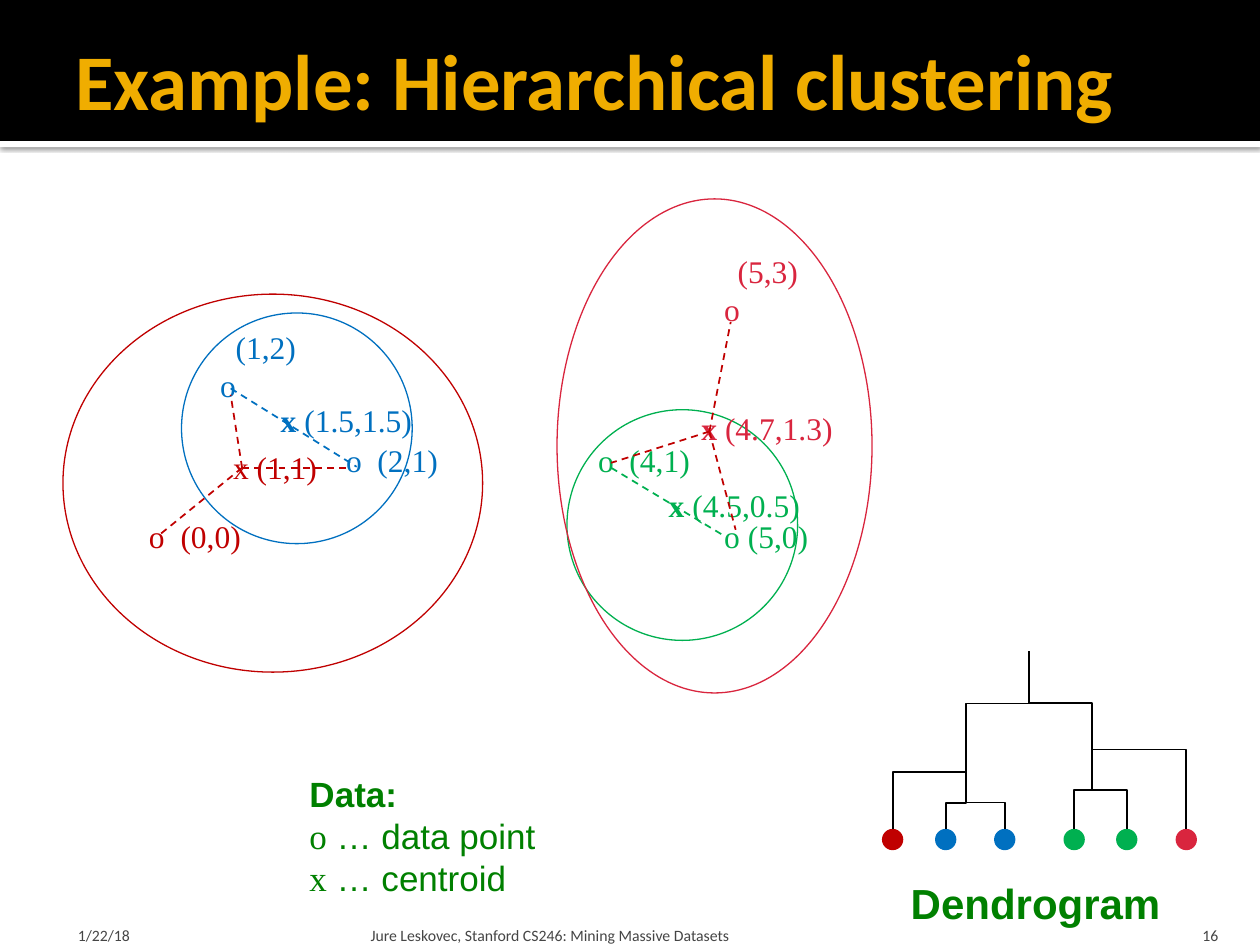
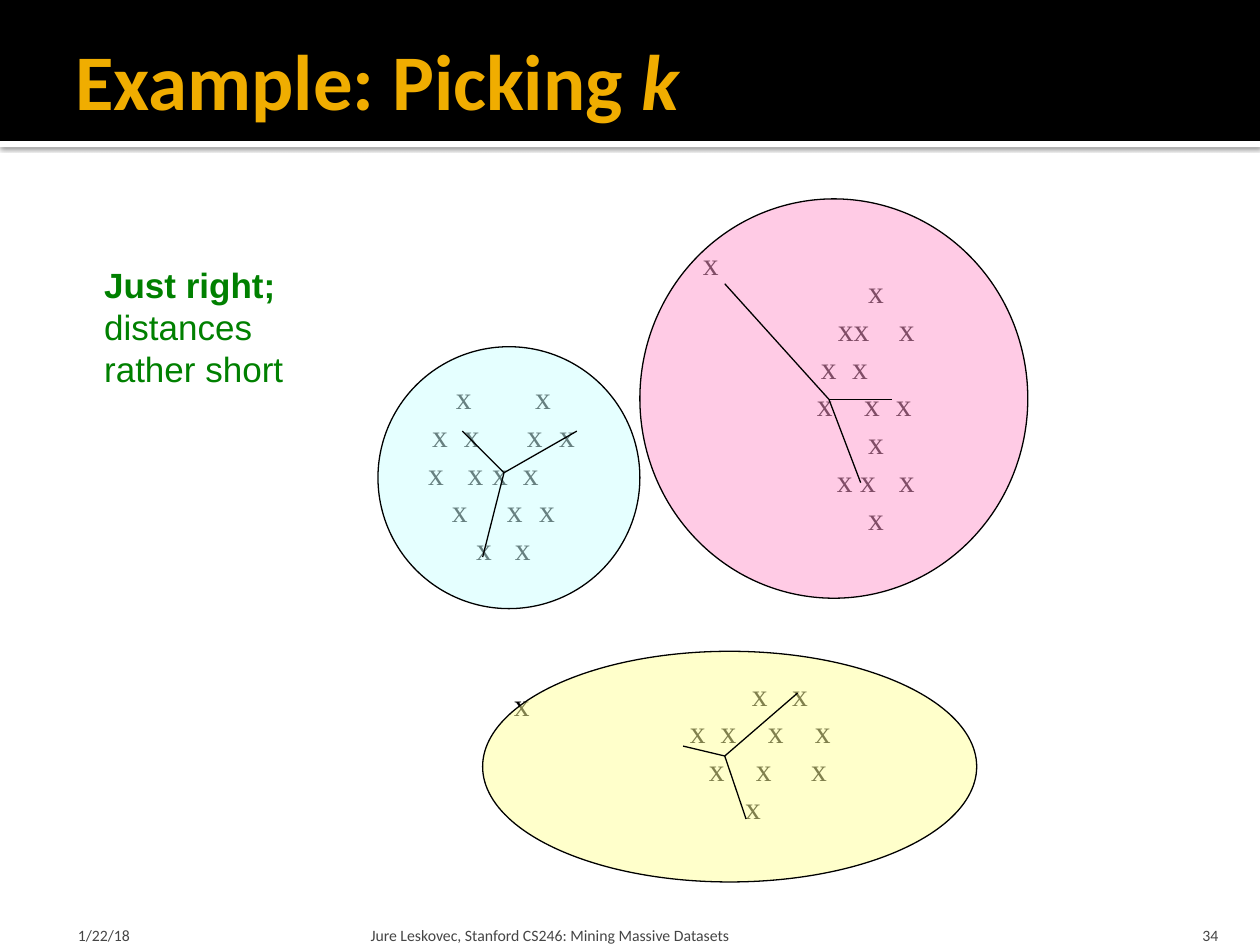
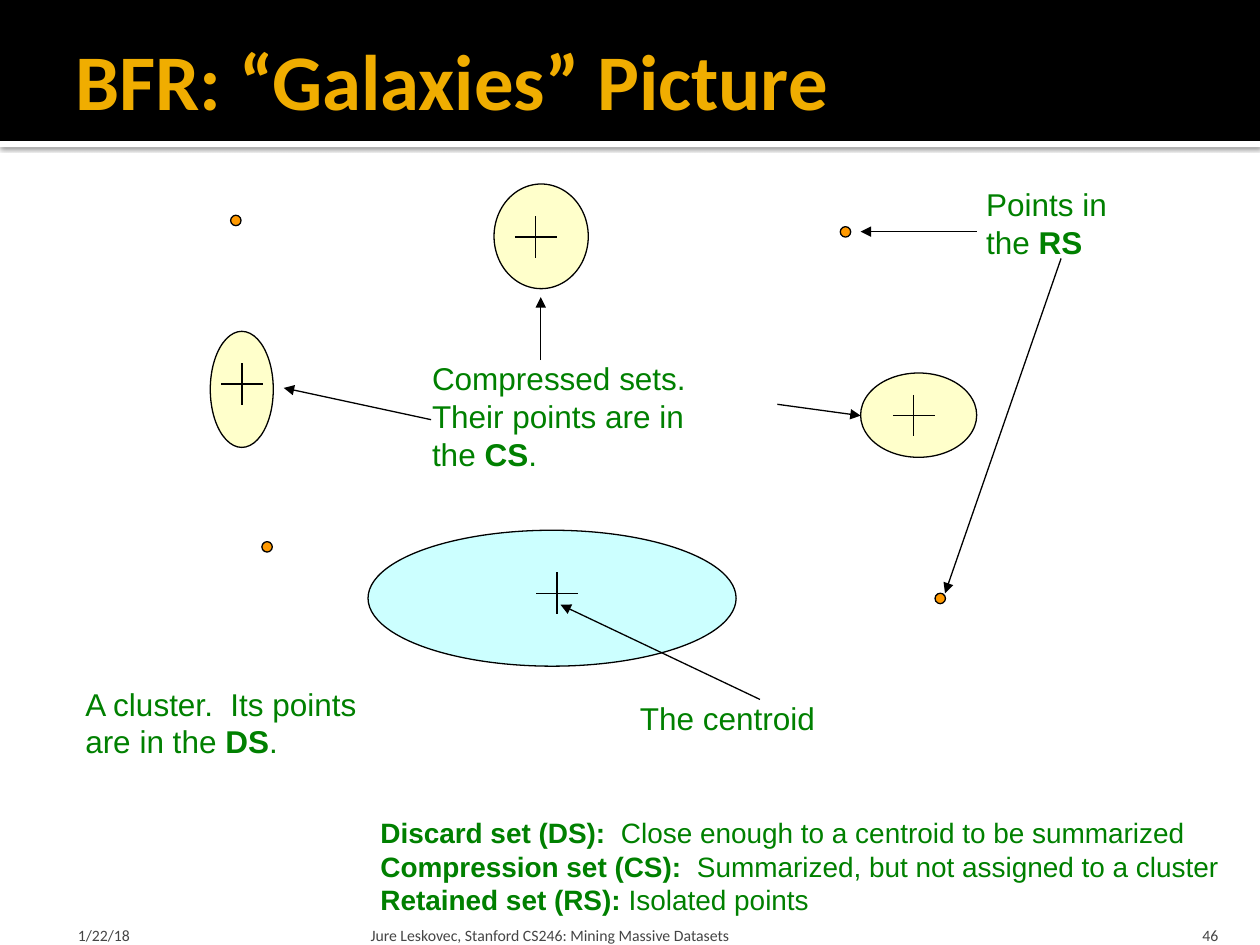
from dataclasses import dataclass

from lxml.etree import SubElement
from pptx import Presentation
from pptx.dml.color import RGBColor
from pptx.enum.dml import MSO_LINE
from pptx.enum.shapes import MSO_CONNECTOR, MSO_SHAPE
from pptx.enum.text import MSO_ANCHOR, PP_ALIGN
from pptx.oxml.ns import qn
from pptx.util import Cm, Pt


@dataclass(frozen=True)
class Theme:
    black: str = "000000"
    white: str = "FFFFFF"
    title: str = "F0AD00"
    footer: str = "454545"
    note: str = "008000"
    red: str = "C00000"
    blue: str = "0070C0"
    green: str = "00B050"
    pink: str = "D9253E"
    pale_blue: str = "CCFFFF"
    pale_yellow: str = "FFFF99"
    pale_pink: str = "FF99CC"
    orange: str = "FF9900"
    heading_face: str = "Calibri"
    note_face: str = "Arial"
    point_face: str = "Times New Roman"
    title_size: int = 45
    caption_size: int = 24
    legend_size: int = 20
    label_size: int = 18
    summary_size: int = 16
    footer_size: int = 9
    thin: float = 0.75
    medium: float = 1
    leading: float = 1.2


@dataclass(frozen=True)
class Box:
    """A region in centimetres."""
    left: float
    top: float
    width: float
    height: float

    def point(self, spot):
        return self.left + spot[0], self.top + spot[1]

    def inner(self, left, top, width, height):
        return Box(*self.point((left, top)), width, height)

    def lengths(self):
        return [Cm(n) for n in (self.left, self.top, self.width, self.height)]


THEME = Theme()
NOTE = dict(face=THEME.note_face, colour=THEME.note)
POINT = dict(face=THEME.point_face, size=THEME.label_size)
BOLD = dict(bold=True)
FOOTER = "Jure Leskovec, Stanford CS246: Mining Massive Datasets"


# Text
def style(font, face=None, size=None, colour=None, bold=None, italic=None):
    if face:
        font.name = face
    if size:
        font.size = Pt(size)
    if colour:
        font.color.rgb = RGBColor.from_string(colour)
    if bold is not None:
        font.bold = bold
    if italic is not None:
        font.italic = italic


def set_tabs(para, stops):
    tab_list = para.font._element.makeelement(qn("a:tabLst"), {})
    para._p.pPr.find(qn("a:defRPr")).addprevious(tab_list)
    for stop in stops:
        SubElement(tab_list, qn("a:tab"), pos=str(Cm(stop)), algn="l")


def write(page, box, lines, insets=(0.25, 0.13, 0, 0.13), anchor=MSO_ANCHOR.TOP,
          align=PP_ALIGN.LEFT, leading=THEME.leading, tabs=(), gaps=(), **look):
    """Each line is a string or a list of (text, style) spans."""
    frame = page.shapes.add_textbox(*box.lengths()).text_frame
    frame.word_wrap = True
    frame.vertical_anchor = anchor
    (frame.margin_left, frame.margin_top,
     frame.margin_right, frame.margin_bottom) = [Cm(n) for n in insets]
    for index, line in enumerate(lines):
        para = frame.add_paragraph() if index else frame.paragraphs[0]
        para.alignment = align
        style(para.font, **look)
        if leading:
            para.line_spacing = Pt(look["size"] * leading)
        if index in gaps:
            para.space_before = Pt(look["size"] * leading)
        if tabs:
            set_tabs(para, tabs[index])
        for text, extra in ([(line, {})] if isinstance(line, str) else line):
            span = para.add_run()
            span.text = text
            if extra:
                style(span.font, **extra)


# Shapes and lines
def draw(page, box, kind=MSO_SHAPE.OVAL, fill=None, alpha=None, line=None):
    shape = page.shapes.add_shape(kind, *box.lengths())
    shape.shadow.inherit = False
    if fill:
        shape.fill.solid()
        shape.fill.fore_color.rgb = RGBColor.from_string(fill)
    else:
        shape.fill.background()
    if alpha:
        colour = shape.element.spPr.find(qn("a:solidFill"))[0]
        SubElement(colour, qn("a:alpha"), val=str(alpha * 1000))
    if line:
        shape.line.color.rgb = RGBColor.from_string(line)
        shape.line.width = Pt(THEME.thin)
    else:
        shape.line.fill.background()
    return shape


def connect(page, start, end, colour=THEME.black, width=THEME.thin,
            dashed=False, arrow=False, kind=MSO_CONNECTOR.STRAIGHT):
    link = page.shapes.add_connector(kind, *[Cm(n) for n in (*start, *end)])
    link.line.color.rgb = RGBColor.from_string(colour)
    link.line.width = Pt(width)
    if dashed:
        link.line.dash_style = MSO_LINE.DASH
    if arrow:
        SubElement(link.line._get_or_add_ln(), qn("a:tailEnd"), type="triangle")
    SubElement(link.element.spPr, qn("a:effectLst"))
    return link


def elbow(page, start, end, bend):
    """Rise from start to the height of bend, cross, and rise to end."""
    rise, run = start[1] - end[1], end[0] - start[0]
    middle_x, middle_y = (start[0] + end[0]) / 2, (start[1] + end[1]) / 2
    link = connect(page, (middle_x - rise / 2, middle_y - run / 2),
                   (middle_x + rise / 2, middle_y + run / 2),
                   width=THEME.medium, kind=MSO_CONNECTOR.ELBOW)
    properties = link.element.spPr
    properties.find(qn("a:xfrm")).set("rot", str(270 * 60000))
    guides = properties.find(qn("a:prstGeom")).find(qn("a:avLst"))
    share = round((start[1] - bend) / rise * 100000)
    SubElement(guides, qn("a:gd"), name="adj1", fmla=f"val {share}")


def spokes(page, box, hub, ends, **look):
    for end in ends:
        connect(page, box.point(hub), box.point(end), **look)


# Title band and footer
def add_page(deck, title, number):
    page = deck.slides.add_slide(deck.slide_layouts[6])
    strip = draw(page, Box(0, 2.84, 25.4, 0.13), MSO_SHAPE.RECTANGLE, THEME.white)
    effects = strip.element.spPr.find(qn("a:effectLst"))
    shadow = SubElement(effects, qn("a:outerShdw"), blurRad=str(Pt(2.5)),
                        dist=str(Pt(0.8)), dir="5400000", rotWithShape="0")
    colour = SubElement(shadow, qn("a:srgbClr"), val=THEME.black)
    SubElement(colour, qn("a:alpha"), val="60000")
    draw(page, Box(0, 0, 25.4, 2.84), MSO_SHAPE.RECTANGLE, THEME.black)
    write(page, Box(1.27, 0.43, 22.86, 2.34), [title], (0.25, 0.13, 0.13, 0.13),
          MSO_ANCHOR.MIDDLE, leading=None, face=THEME.heading_face,
          size=THEME.title_size, colour=THEME.title, bold=True)
    for left, width, text, inset, align in (
            (1.27, 5.92, "1/22/18", 0.3, PP_ALIGN.LEFT),
            (7.34, 15.29, FOOTER, 0.13, PP_ALIGN.LEFT),
            (22.78, 2.03, number, 0.25, PP_ALIGN.RIGHT)):
        write(page, Box(left, 18.29, width, 0.76), [text], (inset, 0.13, inset, 0),
              MSO_ANCHOR.BOTTOM, align, None, face=THEME.heading_face,
              size=THEME.footer_size, colour=THEME.footer)
    return page


# Hierarchical clustering
def plot_points(page, box):
    red, blue = dict(colour=THEME.red), dict(colour=THEME.blue)
    green, pink = dict(colour=THEME.green), dict(colour=THEME.pink)
    lines = [[("\t(5,3)", pink)], [("\to", pink)],
             [("\t(1,2)", blue)], [("\to", blue)],
             [("\to\t(2,1)", blue), ("\to\t(4,1)", green)],
             [("\to\t(0,0)", red), ("\to (5,0)", green)]]
    tabs = [[12.97], [12.7], [2.85], [2.54], [5.08, 5.71, 10.16, 10.79],
            [1.1, 1.74, 12.7]]
    write(page, box.inner(0.38, 0.95, 17, 7.19), lines, tabs=tabs, gaps=(4, 5), **POINT)
    # Cluster outlines, each with the label of its centroid
    for outline, label, mark, centre, bold, colour in (
            ((2.39, 2.3, 4.65, 4.65), (4.14, 3.95), "x", " (1.5,1.5)", True, blue),
            ((10.16, 4.25, 4.65, 4.65), (11.96, 5.65), "x", " (4.5,0.5)", True, green),
            ((0, 1.92, 8.46, 7.62), (3.18, 4.89), "x", " (1,1)", False, red),
            ((9.96, 0, 6.35, 9.96), (12.62, 4.1), "x", " (4.7,1.3)", True, pink)):
        draw(page, box.inner(*outline), line=colour["colour"])
        write(page, box.inner(*label, 3.18, 1.02),
              [[(mark, dict(bold=bold)), (centre, {})]], **POINT, **colour)
    # Distances
    for hub, ends, colour in (
            ((3.38, 3.82), [(5.92, 5.4)], blue),
            ((11.05, 5.42), [(13.34, 6.8)], green),
            ((3.61, 5.42), [(3.38, 3.95), (5.72, 5.42), (1.91, 6.8)], red),
            ((13.03, 4.69), [(13.46, 2.48), (11.05, 5.32), (13.56, 6.67)], red)):
        spokes(page, box, hub, ends, width=THEME.medium, dashed=True, **colour)


def dendrogram(page, box):
    size, leaf_top = 0.43, 3.58
    leaves = ((0, THEME.red), (1.07, THEME.blue), (2.26, THEME.blue),
              (3.66, THEME.green), (4.72, THEME.green), (5.92, THEME.pink))
    left_node, right_node, root = 1.7, 4.24, 2.97
    joins = [(left_node, 1.27, 2.44), (left_node, 2.31, 3.05), (left_node, 2.54, 3.05),
             (right_node, 2.54, 2.79), (right_node, 1.91, 2.79), (right_node, 1.04, 1.98)]
    for (left, colour), (node, top, bend) in zip(leaves, joins):
        draw(page, box.inner(left, leaf_top, size, size), fill=colour)
        elbow(page, box.point((left + size / 2, leaf_top)),
              box.point((node, top)), box.top + bend)
    for node, bottom in ((left_node, 2.11), (right_node, 1.68)):
        elbow(page, box.point((node, bottom)), box.point((root, 0)), box.top + 1.05)
    write(page, box.inner(0.33, 4.42, 5.59, 1.27), ["Dendrogram"],
          size=THEME.caption_size, bold=True, **NOTE)


def legend(page, box):
    symbol = dict(face=THEME.point_face)
    write(page, box, [[("Data:", BOLD)], [("o", symbol), (" … data point", {})],
                      [("x", symbol), (" … centroid", {})]],
          size=THEME.legend_size, **NOTE)


# Picking k
def cluster(page, box, fill, cloud, rows, hub, ends, outlier=None):
    """Each row pairs tab stops with marks; a bare list of stops means single marks."""
    look = dict(POINT, colour=THEME.black)
    lines = ["".join("\t" + ("xx" if isinstance(stop, tuple) else "x") for stop in row)
             for row in rows]
    tabs = [[stop[0] if isinstance(stop, tuple) else stop for stop in row] for row in rows]
    write(page, box.inner(*cloud), lines, (0, 0, 0, 0), MSO_ANCHOR.MIDDLE,
          tabs=tabs, **look)
    if outlier:
        write(page, box.inner(*outlier, 0.94, 1.27), ["x"], **look)
    draw(page, box, fill=fill, alpha=50, line=THEME.black)
    spokes(page, box, hub, ends)


def verdict(page, box):
    write(page, box, [[("Just right;", BOLD)], "distances", "rather short"],
          size=THEME.legend_size, **NOTE)


# Galaxies
def galaxy(page, box, centre, fill, alpha=None):
    arm = 0.42
    draw(page, box, fill=fill, alpha=alpha, line=THEME.black)
    x, y = box.point(centre)
    connect(page, (x, y - arm), (x, y + arm))
    connect(page, (x - arm, y), (x + arm, y))


def arrows(page, box, pairs):
    for start, end in pairs:
        connect(page, box.point(start), box.point(end), arrow=True)


def label(page, box, lines):
    write(page, box, lines, size=THEME.label_size, **NOTE)


def discard_set(page, box):
    galaxy(page, box.inner(6.15, 0, 7.42, 2.74), (3.81, 1.27), THEME.pale_blue)
    label(page, box.inner(0.2, 2.98, 6.05, 1.8),
          ["A cluster.  Its points", [("are in the ", {}), ("DS", BOLD), (".", {})]])
    label(page, box.inner(11.38, 3.28, 4.06, 1.02), ["The centroid"])
    arrows(page, box, [((14.05, 3.41), (10.03, 1.5))])


def compressed_sets(page, box):
    for place, centre in (((0, 2.97, 1.27, 2.34), (0.64, 1.06)),
                          ((13.11, 3.81, 2.34, 1.7), (1.07, 0.86)),
                          ((5.72, 0, 1.9, 2.11), (0.84, 1.07))):
        galaxy(page, box.inner(*place), centre, THEME.pale_yellow, 50)
    label(page, box.inner(4.22, 3.4, 5.69, 2.57),
          ["Compressed sets.", "Their points are in",
           [("the ", {}), ("CS", BOLD), (".", {})]])
    arrows(page, box, [((4.45, 4.75), (1.48, 4.11)), ((6.66, 3.55), (6.66, 2.28)),
                       ((11.43, 4.44), (13.11, 4.67))])


def retained_set(page, box):
    for spot in ((0, 0.73), (0.63, 7.31), (14.2, 8.35), (12.29, 0.96)):
        draw(page, box.inner(*spot, 0.21, 0.21), fill=THEME.orange, line=THEME.black)
    label(page, box.inner(14.98, 0, 2.97, 1.8),
          ["Points in", [("the ", {}), ("RS", BOLD)]])
    arrows(page, box, [((15.04, 1.06), (12.7, 1.06)), ((16.74, 1.6), (14.4, 8.35))])


def summary(page, box):
    terms = (("Discard set (DS):", "  Close enough to a centroid to be summarized"),
             ("Compression set (CS):", "  Summarized, but not assigned to a cluster"),
             ("Retained set (RS):", " Isolated points"))
    write(page, box, [[(term, BOLD), (meaning, {})] for term, meaning in terms],
          size=THEME.summary_size, **NOTE)


# Slides
def main():
    deck = Presentation()
    deck.slide_width, deck.slide_height = Cm(25.4), Cm(19.05)

    page = add_page(deck, "Example: Hierarchical clustering", "16")
    plot_points(page, Box(1.27, 4.01, 16.31, 9.96))
    dendrogram(page, Box(17.78, 13.13, 6.35, 5.69))
    legend(page, Box(5.99, 15.44, 5.11, 2.82))

    page = add_page(deck, [("Example: Picking ", {}), ("k", dict(italic=True))], "34")
    cluster(page, Box(9.73, 13.13, 9.96, 4.65), THEME.pale_yellow,
            (2.97, -0.23, 5.28, 4.45),
            [[2.46, 3.27], [1.21, 1.83, 2.78, 3.73], [1.59, 2.54, 3.65], [2.32]],
            (4.88, 2.11), [(4.04, 1.91), (6.35, 0.84), (5.31, 3.38)], (0.38, 0.54))
    cluster(page, Box(7.62, 6.99, 5.28, 5.28), THEME.pale_blue,
            (0, -0.64, 5.08, 6.35),
            [[1.57, 3.17], [1.09, 1.73, 3, 3.65], [1.01, 1.81, 2.3, 2.92],
             [1.49, 2.6, 3.25], [1.98, 2.76]],
            (2.54, 2.54), [(1.7, 1.7), (4.01, 1.7), (2.11, 4.24)])
    cluster(page, Box(12.9, 4.01, 7.82, 8.05), THEME.pale_pink,
            (2.34, 0.23, 4.88, 7.82),
            [[2.26], [(1.65,), 2.88], [1.31, 1.94], [1.23, 2.18, 2.82], [2.26],
             [1.63, 2.1, 2.88], [2.26]],
            (3.81, 4.04), [(1.71, 1.71), (5.08, 4.04), (4.45, 5.72)], (1.02, 0.77))
    verdict(page, Box(1.85, 5.18, 4.14, 2.82))

    page = add_page(deck, "BFR: “Galaxies” Picture", "46")
    discard_set(page, Box(1.27, 10.69, 15.44, 4.78))
    compressed_sets(page, Box(4.24, 3.71, 15.45, 5.97))
    retained_set(page, Box(4.65, 3.61, 17.95, 8.56))
    summary(page, Box(7.42, 16.31, 17.78, 2.31))

    deck.save("out.pptx")


if __name__ == "__main__":
    main()
